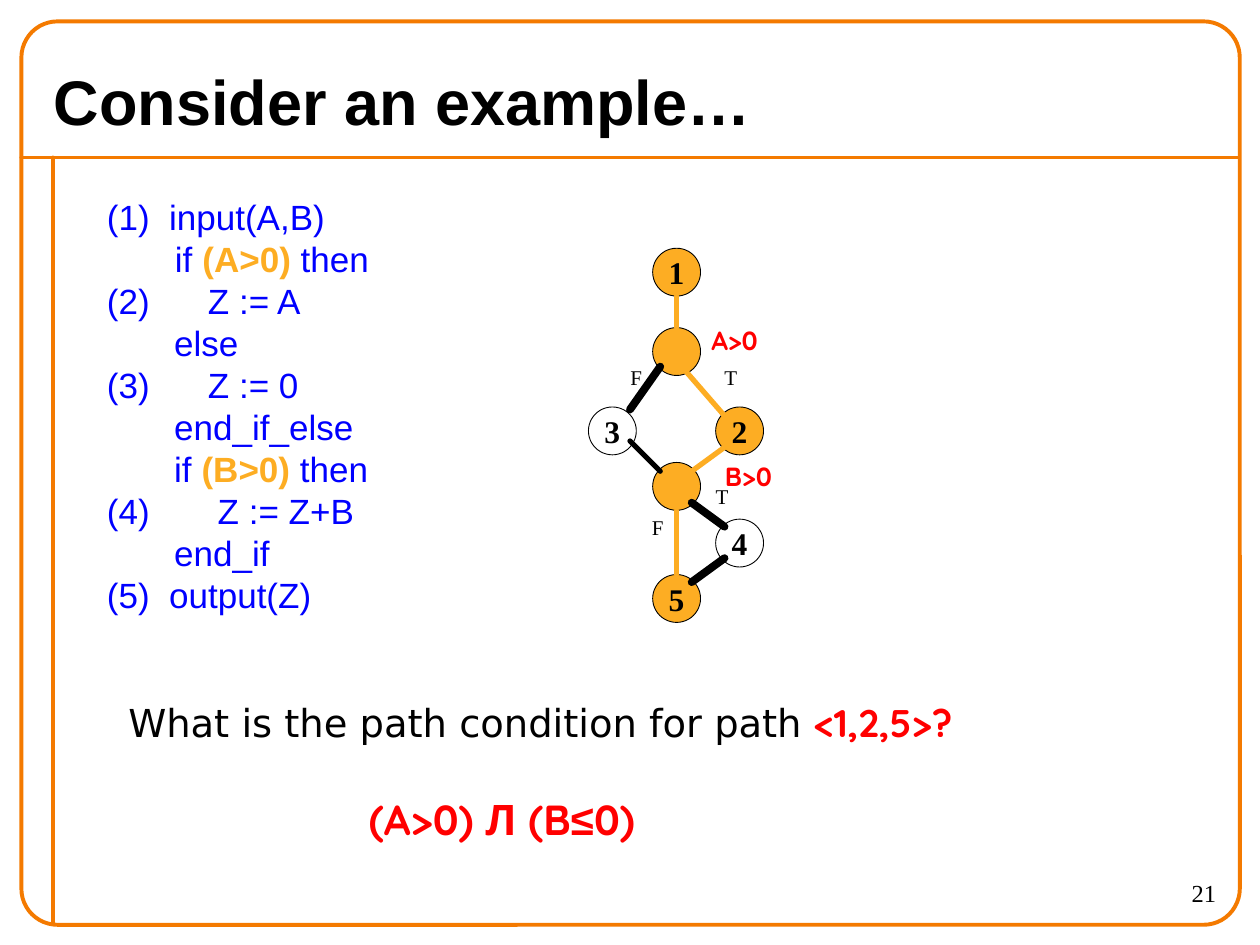
from typing import NamedTuple

from lxml.etree import SubElement
from pptx import Presentation
from pptx.dml.color import RGBColor
from pptx.enum.shapes import MSO_CONNECTOR, MSO_SHAPE
from pptx.enum.text import MSO_ANCHOR, PP_ALIGN
from pptx.oxml.ns import qn
from pptx.util import Inches, Pt

FRAME, ORANGE, BLUE, RED = "F47A00", "FDAD23", "0000FF", "FF0000"
BLACK, WHITE = "000000", "FFFFFF"
SANS, SERIF, ACCENT = "Arial", "Times New Roman", "Quicksand"
NODE_SIZE = 0.38
CODE_INDENT = 0.38


class Span(NamedTuple):
    text: str
    size: float
    font: str = SANS
    color: str = BLACK
    bold: bool = False


class Box(NamedTuple):
    left: float
    top: float
    width: float
    height: float


class Node(NamedTuple):
    left: float
    top: float
    label: str
    color: str


class Edge(NamedTuple):
    x1: float
    y1: float
    x2: float
    y2: float
    color: str
    weight: float


class Tag(NamedTuple):
    box: Box
    span: Span


def rgb(value: str) -> RGBColor:
    return RGBColor.from_string(value)


def add_spans(paragraph, spans: list[Span]) -> None:
    for span in spans:
        run = paragraph.add_run()
        run.text = span.text
        run.font.size = Pt(span.size)
        run.font.name = span.font
        run.font.bold = span.bold
        run.font.color.rgb = rgb(span.color)


def set_insets(frame, side: float, edge: float) -> None:
    frame.margin_left = frame.margin_right = Inches(side)
    frame.margin_top = frame.margin_bottom = Inches(edge)


def add_text(slide, box: Box, lines: list[list[Span]], align=PP_ALIGN.LEFT,
             anchor=MSO_ANCHOR.TOP, tight: bool = False):
    frame = slide.shapes.add_textbox(*map(Inches, box)).text_frame
    frame.word_wrap = not tight
    frame.vertical_anchor = anchor
    set_insets(frame, *((0, 0) if tight else (0.1, 0.05)))
    for index, spans in enumerate(lines):
        paragraph = frame.add_paragraph() if index else frame.paragraphs[0]
        paragraph.alignment = align
        add_spans(paragraph, spans)
    return frame


def add_edge(slide, edge: Edge) -> None:
    ends = map(Inches, edge[:4])
    connector = slide.shapes.add_connector(MSO_CONNECTOR.STRAIGHT, *ends)
    connector.line.color.rgb = rgb(edge.color)
    connector.line.width = Pt(edge.weight)
    connector.line._get_or_add_ln().set("cap", "rnd")
    SubElement(connector._element.spPr, qn("a:effectLst"))


def add_node(slide, node: Node) -> None:
    circle = slide.shapes.add_shape(
        MSO_SHAPE.OVAL, Inches(node.left), Inches(node.top),
        Inches(NODE_SIZE), Inches(NODE_SIZE))
    circle.shadow.inherit = False
    circle.fill.solid()
    circle.fill.fore_color.rgb = rgb(node.color)
    circle.line.color.rgb = rgb(BLACK)
    circle.line.width = Pt(0.5)
    if node.label:
        frame = circle.text_frame
        frame.word_wrap = False
        set_insets(frame, 0, 0)
        frame.paragraphs[0].alignment = PP_ALIGN.CENTER
        add_spans(frame.paragraphs[0], [Span(node.label, 18, SERIF, BLACK, True)])


def add_frame(slide) -> None:
    add_edge(slide, Edge(0.17, 1.25, 9.83, 1.25, FRAME, 2.25))
    add_edge(slide, Edge(0.42, 1.25, 0.42, 7.33, FRAME, 2.25))
    border = slide.shapes.add_shape(
        MSO_SHAPE.ROUNDED_RECTANGLE, *map(Inches, (0.17, 0.17, 9.67, 7.17)))
    border.adjustments[0] = 0.04
    border.shadow.inherit = False
    border.fill.background()
    border.line.color.rgb = rgb(FRAME)
    border.line.width = Pt(2.25)


def code(text: str) -> Span:
    return Span(text, 20, SANS, BLUE)


def condition(text: str) -> Span:
    return Span(text, 20, SANS, ORANGE, True)


def branch(left: float, top: float, text: str) -> Tag:
    return Tag(Box(left, top, 0.1, 0.2), Span(text, 12, SERIF))


def predicate(left: float, top: float, text: str) -> Tag:
    return Tag(Box(left, top, 0.38, 0.25), Span(text, 15, ACCENT, RED, True))


PROGRAM = [
    [code("(1)  input(A,B)")],
    [code("       if "), condition("(A>0)"), code(" then")],
    [code("(2)      Z := A")],
    [code("\t  else")],
    [code("(3)      Z := 0")],
    [code("\t  end_if_else")],
    [code("\t  if "), condition("(B>0)"), code(" then")],
    [code("(4)       Z := Z+B")],
    [code("\t  end_if")],
    [code("(5)  output(Z)")],
]
NODES = [
    Node(5.18, 1.97, "1", ORANGE), Node(5.18, 2.6, "", ORANGE),
    Node(5.68, 3.23, "2", ORANGE), Node(4.67, 3.23, "3", WHITE),
    Node(5.18, 3.67, "", ORANGE), Node(5.68, 4.12, "4", WHITE),
    Node(5.18, 4.56, "5", ORANGE),
]
EDGES = [
    Edge(5.37, 2.35, 5.37, 2.6, ORANGE, 3),
    Edge(5.42, 2.92, 5.75, 3.3, ORANGE, 3),
    Edge(5.24, 2.91, 5, 3.25, BLACK, 4.5),
    Edge(5, 3.5, 5.24, 3.74, BLACK, 3),
    Edge(5.75, 3.55, 5.49, 3.74, ORANGE, 3),
    Edge(5.49, 3.99, 5.75, 4.18, BLACK, 4.5),
    Edge(5.75, 4.43, 5.49, 4.62, BLACK, 4.5),
    Edge(5.37, 4.05, 5.37, 4.56, ORANGE, 3),
]
TAGS = [
    predicate(5.64, 2.57, "A>0"), predicate(5.75, 3.65, "B>0"),
    branch(5, 2.89, "F"), branch(5.75, 2.89, "T"),
    branch(5.17, 4.08, "F"), branch(5.68, 3.84, "T"),
]


def main() -> None:
    """Build the path condition slide with its program and flow graph."""
    deck = Presentation()
    deck.slide_width, deck.slide_height = Inches(10), Inches(7.5)
    slide = deck.slides.add_slide(deck.slide_layouts[6])
    add_frame(slide)
    add_text(slide, Box(0.33, 0.42, 9.33, 0.75),
             [[Span("Consider an example…", 36, bold=True)]], anchor=MSO_ANCHOR.MIDDLE)
    program = add_text(slide, Box(0.75, 1.5, 3.25, 3.92), PROGRAM)
    for line in program.paragraphs:
        line.line_spacing = Pt(24)
        properties = line._p.get_or_add_pPr()
        properties.set("marL", str(Inches(CODE_INDENT)))
        properties.set("indent", str(-Inches(CODE_INDENT)))
    for node in NODES:
        add_node(slide, node)
    for edge in EDGES:
        add_edge(slide, edge)
    for tag in TAGS:
        add_text(slide, tag.box, [[tag.span]], PP_ALIGN.CENTER, tight=True)
    add_text(slide, Box(0.92, 5.5, 7.58, 1.03), [[
        Span("What is the path condition for path ", 22, "DejaVu Sans"),
        Span("<1,2,5>?", 22, ACCENT, RED, True)]])
    add_text(slide, Box(2.83, 6.25, 2.92, 0.5), [[
        Span("(A>0) Л (B", 24, ACCENT, RED, True),
        Span("≤", 24, SANS, RED, True), Span("0)", 24, ACCENT, RED, True)]])
    add_text(slide, Box(8.75, 6.92, 1, 0.42), [[Span("21", 14, SERIF)]], PP_ALIGN.RIGHT)
    deck.save("out.pptx")


if __name__ == "__main__":
    main()
